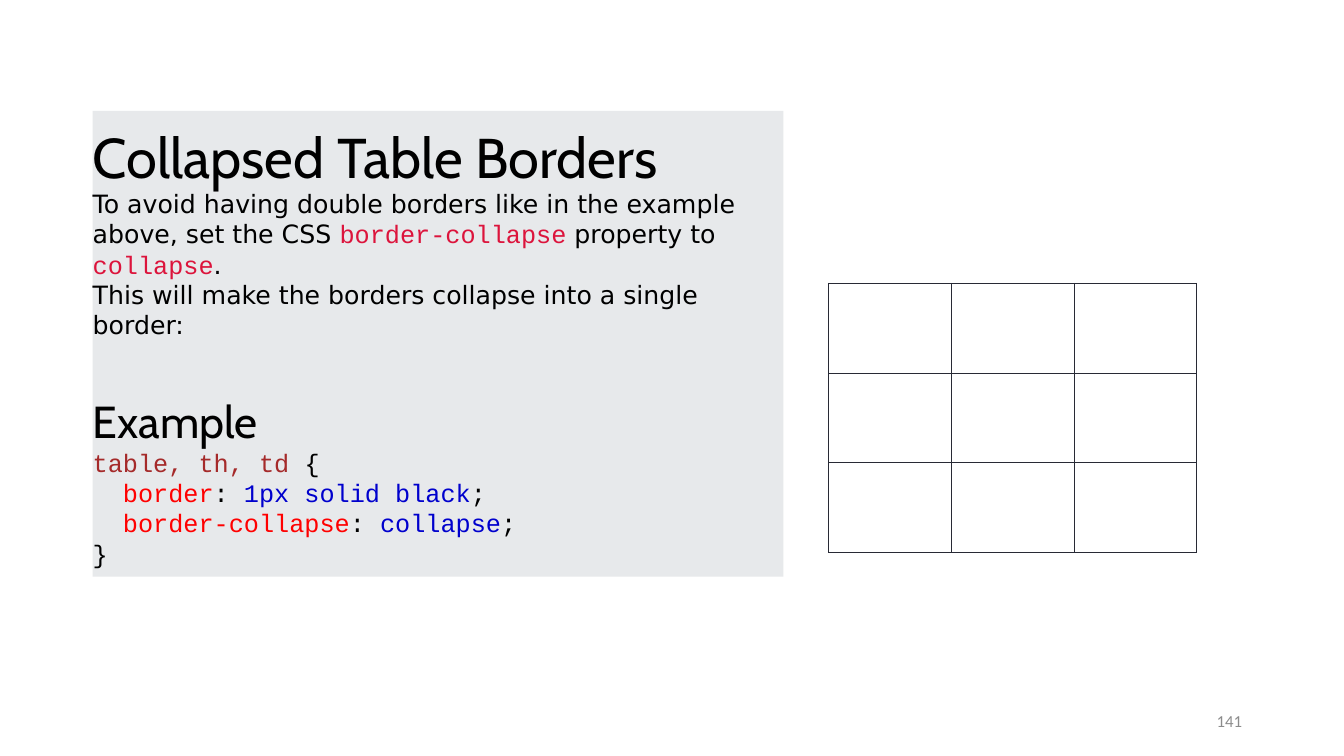
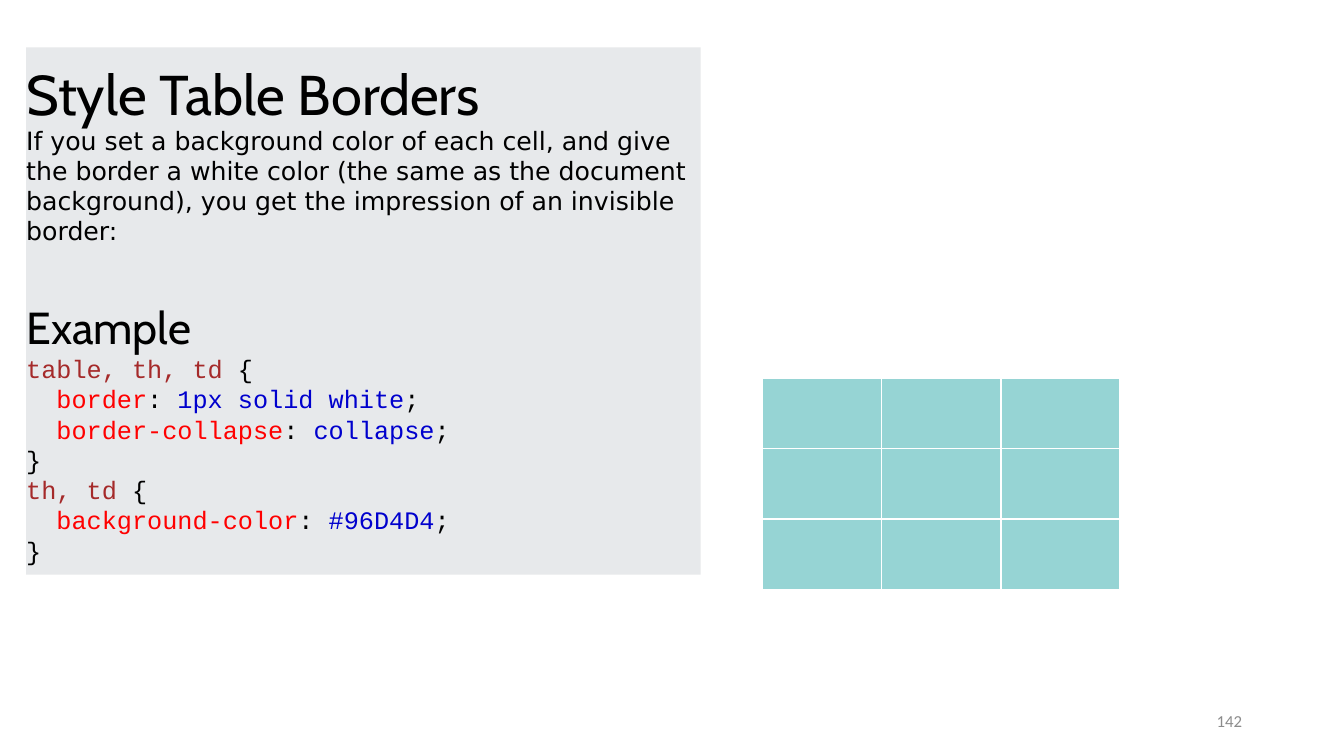
from lxml.etree import SubElement
from pptx import Presentation
from pptx.dml.color import RGBColor
from pptx.enum.text import MSO_ANCHOR, MSO_AUTO_SIZE, PP_ALIGN
from pptx.oxml import parse_xml
from pptx.oxml.ns import nsdecls, qn
from pptx.util import Inches, Pt

# Shared look
BAND, INK, GREY = "E7E9EB", "000000", "8C8C8C"
TERM, TAG, PROP, VALUE = "DC143C", "A52A2A", "FF0000", "0000CD"
HEAD, TEXT, CODE = "Cabin", "DejaVu Sans", "Courier New"
LEAD = 1.2  # line height as a multiple of the text size

deck = Presentation()
deck.slide_width, deck.slide_height = Inches(13.33), Inches(7.5)


def place(x, y, w, h):
    """Turn percentages of the slide into left, top, width, height."""
    wide, high = deck.slide_width / 100, deck.slide_height / 100
    return [round(n) for n in (x * wide, y * high, w * wide, h * high)]


def say(par, text, size=18, font=TEXT, color=INK):
    """Add one formatted run to a paragraph."""
    run = par.add_run()
    run.text = text
    run.font.size, run.font.name = Pt(size), font
    run.font.color.rgb = RGBColor.from_string(color)


# Content: prose is a list of (text, is code) runs; rules are CSS blocks
BASE = "table, th, td"
pages = [
    dict(
        num="141", title="Collapsed Table Borders",
        band=(6.9, 14.67, 51.39, 61.6),
        prose=[
            [("To avoid having double borders like in the example above, "
              "set the CSS ", False), ("border-collapse", True),
             (" property to ", False), ("collapse", True), (".", False)],
            [("This will make the borders collapse into a single border:",
              False)],
        ],
        rules=[(BASE, [("border", "1px solid black"),
                       ("border-collapse", "collapse")])],
        grid=(61.67, 37.47, 27.38, 35.6), fill="FFFFFF",
        edge="282A35", line=0.75,
    ),
    dict(
        num="142", title="Style Table Borders",
        band=(1.95, 6.27, 50.19, 69.73),
        prose=[
            [("If you set a background color of each cell, and give the "
              "border a white color (the same as the document background), "
              "you get the impression of an invisible border:", False)],
        ],
        rules=[(BASE, [("border", "1px solid white"),
                       ("border-collapse", "collapse")]),
               ("th, td", [("background-color", "#96D4D4")])],
        grid=(56.71, 50, 26.63, 28), fill="96D4D4",
        edge="FFFFFF", line=1.5,
    ),
]

for page in pages:
    slide = deck.slides.add_slide(deck.slide_layouts[1])
    title, body = slide.placeholders
    x, y, w, h = page["band"]

    # Title and body share the grey band; the title lies in front
    title.left, title.top, title.width, title.height = place(
        x, y + 1.6, w, 9)
    body.left, body.top, body.width, body.height = place(x, y, w, h)
    slide.shapes._spTree.append(title._element)
    body.fill.solid()
    body.fill.fore_color.rgb = RGBColor.from_string(BAND)
    for hold in (title, body):
        frame = hold.text_frame
        frame.word_wrap, frame.auto_size = True, MSO_AUTO_SIZE.NONE
        frame.vertical_anchor = MSO_ANCHOR.TOP
        frame.margin_left = frame.margin_right = 0
        frame.margin_top = frame.margin_bottom = 0
    frame.margin_top = Inches(0.77)
    head = title.text_frame.paragraphs[0]
    head.alignment = PP_ALIGN.LEFT
    say(head, page["title"], size=40, font=HEAD)

    # Gather the body as lines of (text, format) runs
    lines = [[(text, dict(font=CODE, color=TERM) if code else {})
              for text, code in part] for part in page["prose"]]
    lines.append([("Example", dict(size=32, font=HEAD))])
    plain = dict(font=CODE)
    for tags, props in page["rules"]:
        lines.append([(tags + " ", dict(font=CODE, color=TAG)), ("{", plain)])
        for name, value in props:
            lines.append([("  " + name, dict(font=CODE, color=PROP)),
                          (":", plain),
                          (" " + value, dict(font=CODE, color=VALUE)),
                          (";", plain)])
        lines.append([("}", plain)])

    # Write the body without bullets
    for i, runs in enumerate(lines):
        par = frame.add_paragraph() if i else frame.paragraphs[0]
        props = par._p.get_or_add_pPr()
        props.set("marL", "0")
        props.set("indent", "0")
        SubElement(props, qn("a:buNone"))
        size = runs[0][1].get("size", 18)
        par.line_spacing = Pt(size * LEAD)
        par.space_before = Pt(size * LEAD if size > 18 else 0)
        for text, look in runs:
            say(par, text, **look)

    # Sample table
    table = slide.shapes.add_table(3, 3, *place(*page["grid"])).table
    table.first_row = table.horz_banding = False
    for cell in table.iter_cells():
        cell.fill.solid()
        cell.fill.fore_color.rgb = RGBColor.from_string(page["fill"])
        for i, side in enumerate(("lnL", "lnR", "lnT", "lnB")):
            cell._tc.get_or_add_tcPr().insert(i, parse_xml(
                f'<a:{side} {nsdecls("a")} w="{Pt(page["line"])}">'
                f'<a:solidFill><a:srgbClr val="{page["edge"]}"/>'
                f'</a:solidFill></a:{side}>'))

    # Page number
    foot = slide.shapes.add_textbox(*place(70.67, 92.67, 22.5, 5.33))
    foot.text_frame.word_wrap = True
    foot.text_frame.vertical_anchor = MSO_ANCHOR.MIDDLE
    par = foot.text_frame.paragraphs[0]
    par.alignment = PP_ALIGN.RIGHT
    say(par, page["num"], size=12, font="Calibri", color=GREY)

deck.save("out.pptx")
